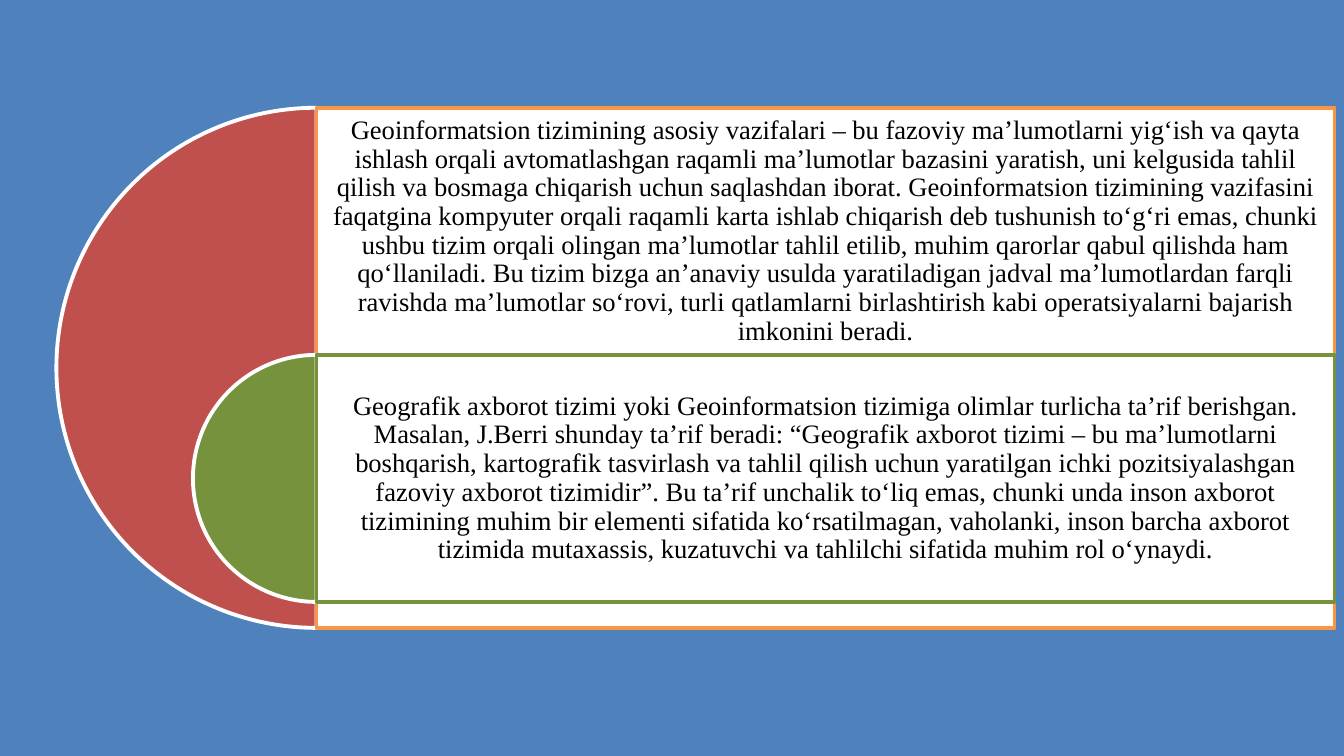
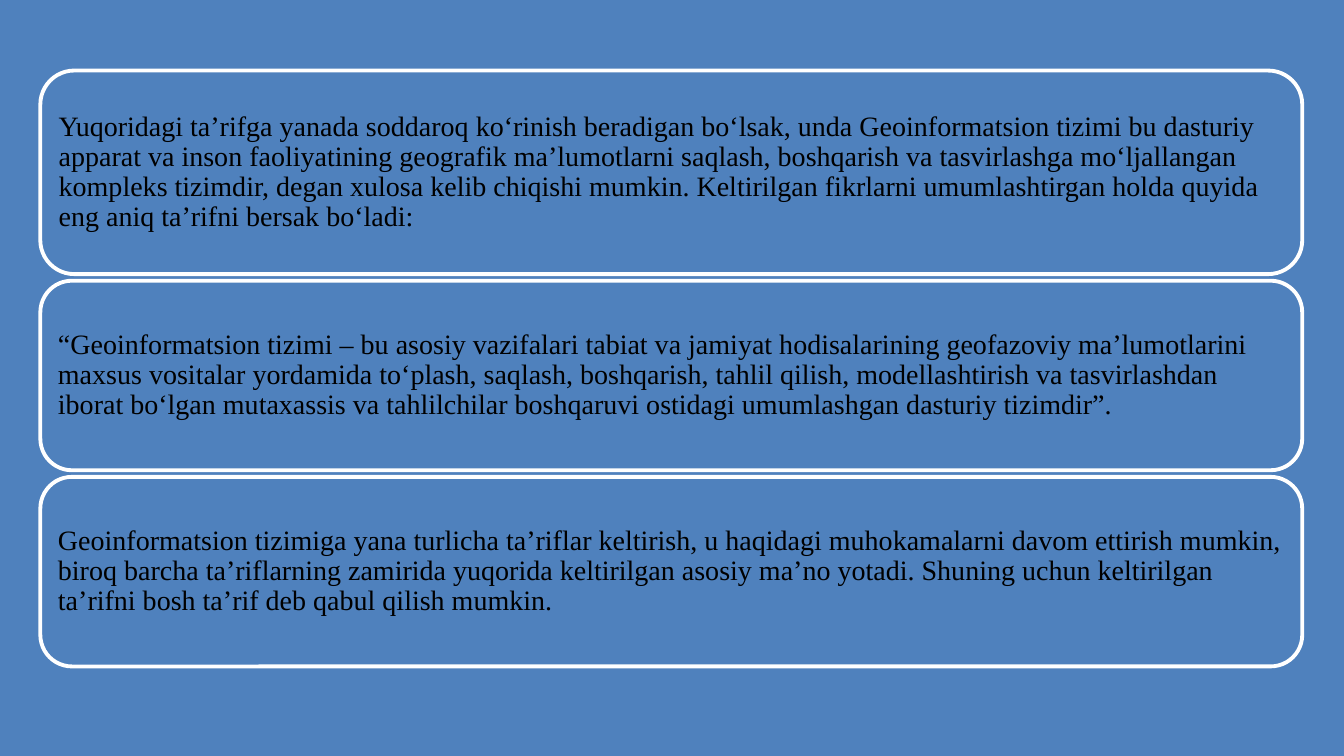
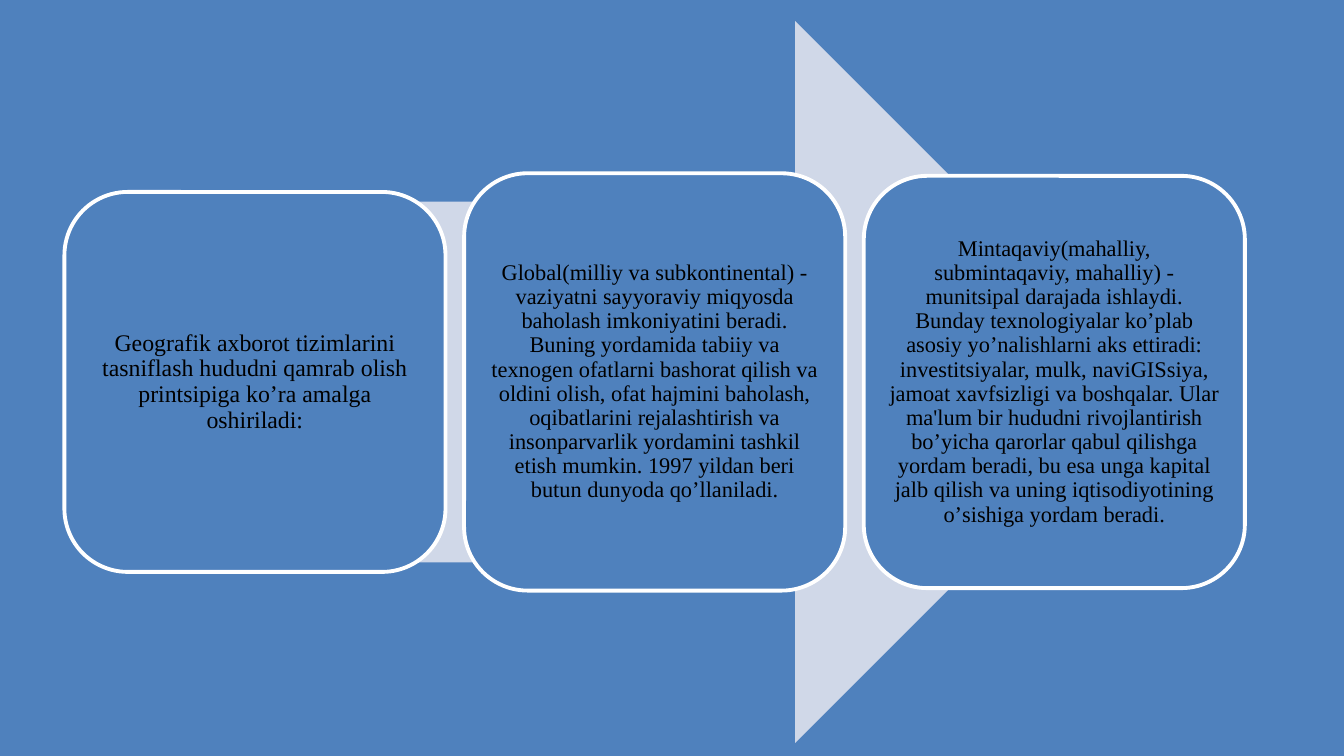
from lxml.etree import SubElement
from pptx import Presentation
from pptx.dml.color import RGBColor
from pptx.enum.shapes import MSO_SHAPE as Preset
from pptx.enum.text import MSO_ANCHOR as Anchor, PP_ALIGN as Align
from pptx.oxml.ns import qn
from pptx.util import Pt

COLORS = {
    "blue": "4F81BD",
    "pale": "D0D8E8",
    "red": "C0504D",
    "green": "76923C",
    "orange": "F79646",
    "white": "FFFFFF",
    "black": "000000",
}
FONT = "Times New Roman"
LINE_WIDTH = 2.75
INSET_RATIO = 0.3  # text inset as a share of the font size

TASKS = (
    "Geоinfоrmаtsiоn tizimining asosiy vazifalari – bu fazoviy ma’lumotlarni yigʻish va qayta "
    "ishlash orqali avtomatlashgan raqamli ma’lumotlar bazasini yaratish, uni kelgusida tahlil "
    "qilish va bosmaga chiqarish uchun saqlashdan iborat. Geоinfоrmаtsiоn tizimining vazifasini "
    "faqatgina kоmpyuter orqali raqamli karta ishlab chiqarish deb tushunish toʻgʻri emas, chunki "
    "ushbu tizim orqali olingan ma’lumotlar tahlil etilib, muhim qarorlar qabul qilishda ham "
    "qoʻllaniladi. Bu tizim bizga an’anaviy usulda yaratiladigan jadval ma’lumotlardan farqli "
    "ravishda ma’lumotlar soʻrovi, turli qatlamlarni birlashtirish kabi operatsiyalarni bajarish "
    "imkonini beradi."
)
DEFINITION = (
    "Geografik ахborot tizimi yoki Geоinfоrmаtsiоn tizimiga olimlar turlicha ta’rif berishgan. "
    "Masalan, J.Berri shunday ta’rif beradi: “Geografik ахborot tizimi – bu ma’lumotlarni "
    "boshqarish, kartografik tasvirlash va tahlil qilish uchun yaratilgan ichki pozitsiyalashgan "
    "fazoviy ахborot tizimidir”. Bu ta’rif unchalik toʻliq emas, chunki unda inson ахborot "
    "tizimining muhim bir elementi sifatida koʻrsatilmagan, vaholanki, inson barcha ахborot "
    "tizimida mutaхassis, kuzatuvchi va tahlilchi sifatida muhim rol oʻynaydi."
)
# Each entry: height, text
STATEMENTS = [
    (145.4,
     "Yuqoridagi ta’rifga yanada soddaroq koʻrinish beradigan boʻlsak, unda Geоinfоrmаtsiоn tizimi "
     "bu dasturiy apparat va inson faoliyatining geografik ma’lumotlarni saqlash, boshqarish va "
     "tasvirlashga moʻljallangan kompleks tizimdir, degan хulosa kelib chiqishi mumkin. Keltirilgan "
     "fikrlarni umumlashtirgan holda quyida eng aniq ta’rifni bersak boʻladi:"),
    (135.4,
     "“Geоinfоrmаtsiоn tizimi – bu asosiy vazifalari tabiat va jamiyat hodisalarining geofazoviy "
     "ma’lumotlarini maхsus vositalar yordamida toʻplash, saqlash, boshqarish, tahlil qilish, "
     "modellashtirish va tasvirlashdan iborat boʻlgan mutaхassis va tahlilchilar boshqaruvi "
     "ostidagi umumlashgan dasturiy tizimdir”."),
    (135.4,
     "Geоinfоrmаtsiоn tizimiga yana turlicha ta’riflar keltirish, u haqidagi muhokamalarni davom "
     "ettirish mumkin, biroq barcha ta’riflarning zamirida yuqorida keltirilgan asosiy ma’no "
     "yotadi. Shuning uchun keltirilgan ta’rifni bosh ta’rif deb qabul qilish mumkin."),
]
# Each entry: height, font size, text
SCOPES = [
    (271.4, 17,
     "Geografik ахborot tizimlarini tasniflash hududni qamrab olish printsipiga kо’ra amalga "
     "oshiriladi:"),
    (298.1, 16,
     "Global(milliy va subkontinental) - vaziyatni sayyoraviy miqyosda baholash imkoniyatini "
     "beradi. Buning yordamida tabiiy va teхnogen ofatlarni bashorat qilish va oldini olish, ofat "
     "hajmini baholash, oqibatlarini rejalashtirish va insonparvarlik yordamini tashkil etish "
     "mumkin. 1997 yildan beri butun dunyoda qо’llaniladi."),
    (294.5, 16,
     "Mintaqaviy(mahalliy, submintaqaviy, mahalliy) - munitsipal darajada ishlaydi. Bunday "
     "teхnologiyalar kо’plab asosiy yо’nalishlarni aks ettiradi: investitsiyalar, mulk, "
     "naviGISsiya, jamoat хavfsizligi va boshqalar. Ular ma'lum bir hududni rivojlantirish "
     "bо’yicha qarorlar qabul qilishga yordam beradi, bu esa unga kapital jalb qilish va uning "
     "iqtisodiyotining о’sishiga yordam beradi."),
]


def color(name):
    return RGBColor.from_string(COLORS[name])


def add_blue_slide(presentation):
    slide = presentation.slides.add_slide(presentation.slide_layouts[6])
    slide.background.fill.solid()
    slide.background.fill.fore_color.rgb = color("blue")
    return slide


def add_preset(slide, preset, box, fill, line="white"):
    shape = slide.shapes.add_shape(preset, *(Pt(length) for length in box))
    shape.shadow.inherit = False
    shape.fill.solid()
    shape.fill.fore_color.rgb = color(fill)
    if line:
        shape.line.color.rgb = color(line)
        shape.line.width = Pt(LINE_WIDTH)
    else:
        shape.line.fill.background()
    return shape


def write_text(shape, text, size, align=Align.CENTER, free_below=0):
    """Centre the text vertically, leaving free_below points empty at the bottom."""
    frame = shape.text_frame
    frame.word_wrap = True
    frame.vertical_anchor = Anchor.MIDDLE
    inset = size * INSET_RATIO
    frame.margin_left = frame.margin_right = frame.margin_top = Pt(inset)
    frame.margin_bottom = Pt(inset + free_below)
    frame.text = text
    paragraph = frame.paragraphs[0]
    paragraph.alignment = align
    paragraph.line_spacing = 0.9
    font = paragraph.runs[0].font
    font.name = FONT
    font.size = Pt(size)
    font.color.rgb = color("black")


def set_opacity(shape, percent):
    fill_color = shape._element.spPr.find(qn("a:solidFill"))[0]
    SubElement(fill_color, qn("a:alpha")).set("val", str(percent * 1000))


def add_half_disc(slide, center_x, top, diameter, fill):
    box = (center_x - diameter / 2, top, diameter, diameter)
    disc = add_preset(slide, Preset.PIE, box, fill)
    # Sweep from 90 to 270 degrees
    disc.adjustments[0] = 54
    disc.adjustments[1] = 162


def add_nested_discs(slide, box):
    """Two nested half discs, each with a panel to the right of its flat side."""
    left, top, width, height = box
    axis = left + height / 2
    panel_width = width - height / 2
    row_height = height * 0.475
    second_top = top + row_height

    add_half_disc(slide, axis, top, height, "red")
    outer = add_preset(slide, Preset.RECTANGLE, (axis, top, panel_width, height), "white", "orange")
    write_text(outer, TASKS, 19, free_below=height - row_height)

    add_half_disc(slide, axis, second_top, row_height, "green")
    inner = add_preset(slide, Preset.RECTANGLE, (axis, second_top, panel_width, row_height),
                       "white", "green")
    set_opacity(inner, 90)
    write_text(inner, DEFINITION, 19)


def add_statement_stack(slide, left, top, width, gap=4.7):
    for height, text in STATEMENTS:
        bar = add_preset(slide, Preset.ROUNDED_RECTANGLE, (left, top, width, height), "blue")
        write_text(bar, text, 20, Align.LEFT)
        top += height + gap


def add_scope_arrow(slide, box):
    """A wide arrow with a row of cards centred on its axis."""
    left, top, width, height = box
    card_width, step = 272.2, 285.5
    first_left = left - 62.7
    middle = top + height / 2
    add_preset(slide, Preset.RIGHT_ARROW, box, "pale", line=None)
    for index, (card_height, size, text) in enumerate(SCOPES):
        card_box = (first_left + index * step, middle - card_height / 2, card_width, card_height)
        card = add_preset(slide, Preset.ROUNDED_RECTANGLE, card_box, "blue")
        write_text(card, text, size)


def main():
    presentation = Presentation()
    presentation.slide_width = Pt(960)
    presentation.slide_height = Pt(540)
    add_nested_discs(add_blue_slide(presentation), (40.3, 77, 913, 371.5))
    add_statement_stack(add_blue_slide(presentation), 28.8, 50.4, 901.4)
    add_scope_arrow(add_blue_slide(presentation), (108.7, 15.1, 717.1, 515.5))
    presentation.save("out.pptx")


if __name__ == "__main__":
    main()
